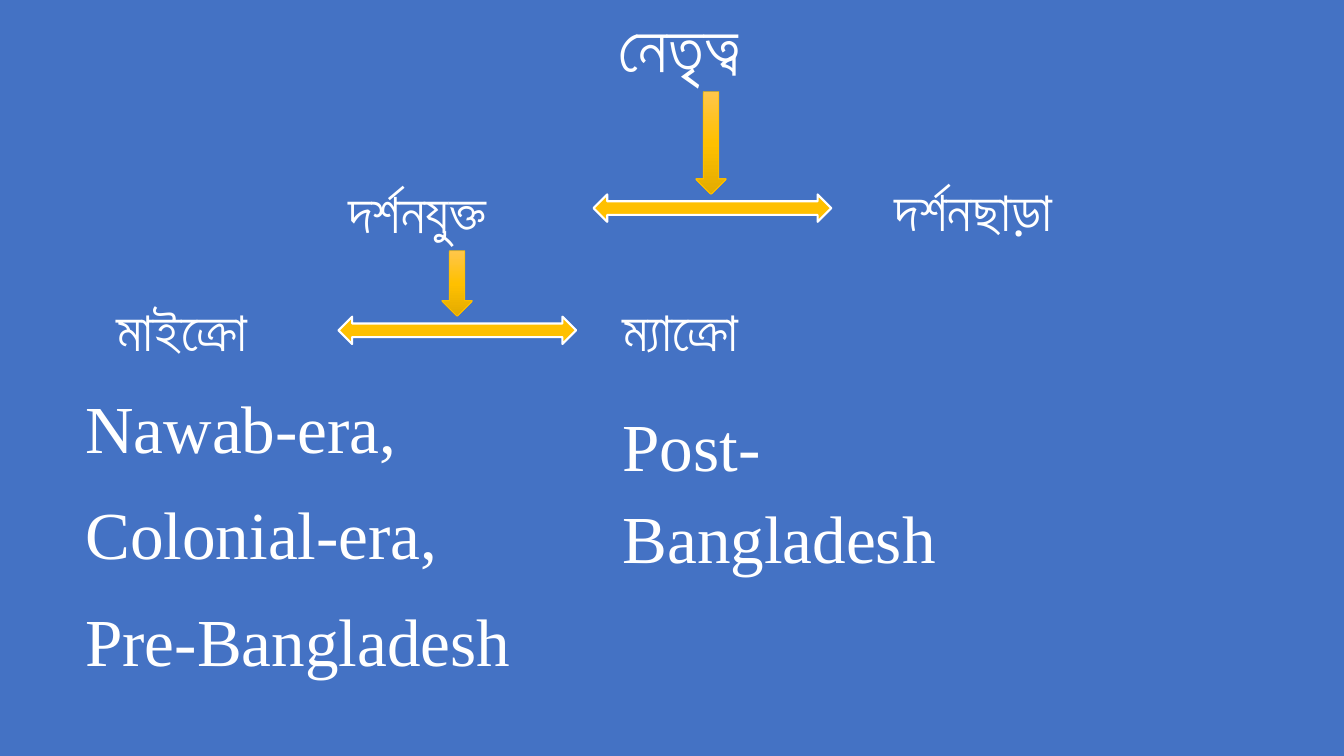
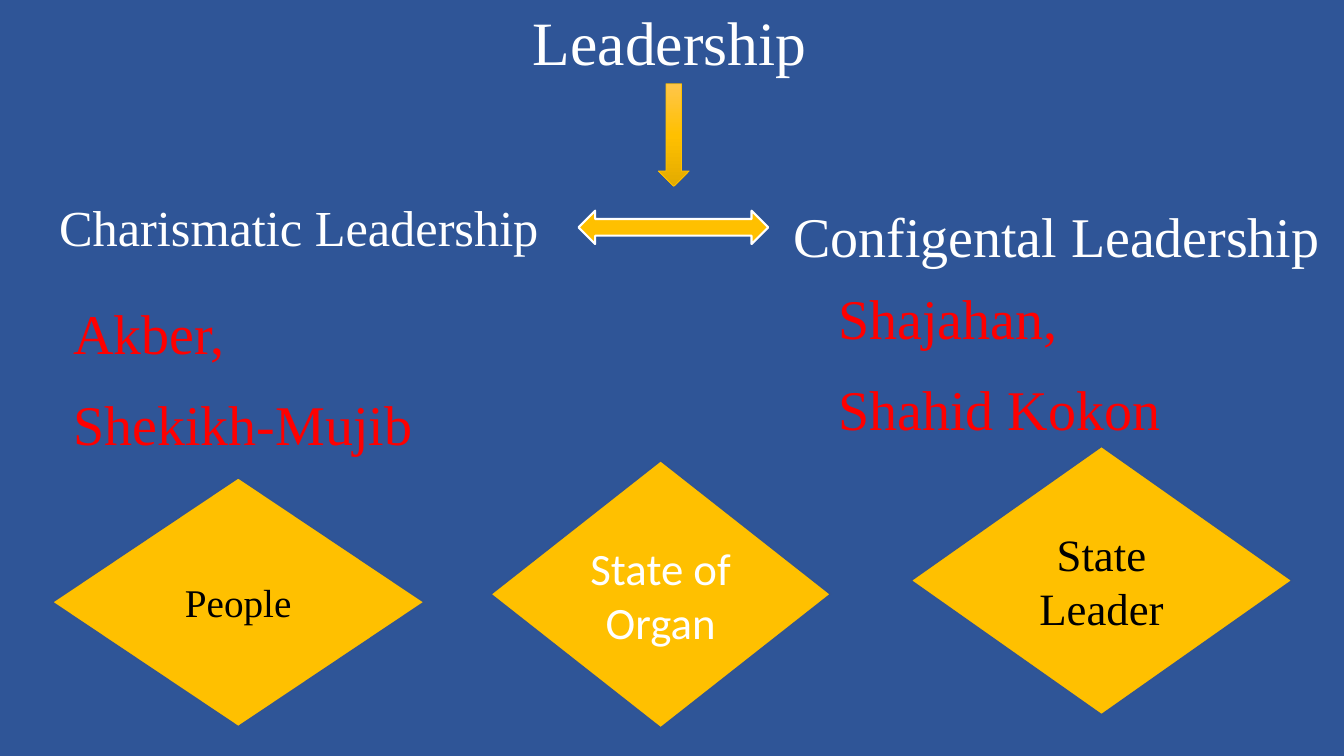
from copy import deepcopy
from dataclasses import dataclass

from pptx import Presentation
from pptx.dml.color import RGBColor
from pptx.enum.shapes import MSO_SHAPE as SHAPE
from pptx.enum.text import MSO_ANCHOR as ANCHOR, MSO_AUTO_SIZE as AUTO_SIZE, PP_ALIGN as ALIGN
from pptx.oxml.ns import qn
from pptx.util import Cm, Pt


@dataclass(frozen=True)
class Theme:
    blue: str = "4472C4"
    navy: str = "2F5597"
    white: str = "FFFFFF"
    black: str = "000000"
    red: str = "FF0000"
    gold: str = "FFC000"
    outline: str = "325491"
    gold_fade: tuple = ((0, "FFC64B"), (0.5, "FFC000"), (1, "E3AB00"))
    serif: str = "Times New Roman"
    sans: str = "Calibri"
    title_font: str = "Lato"
    xl: int = 48
    title: int = 44
    large: int = 40
    medium: int = 36
    label: int = 32
    small: int = 28


T = Theme()


def rgb(value):
    return RGBColor.from_string(value)


class Deck:
    def __init__(self):
        self.prs = Presentation()
        self.prs.slide_width, self.prs.slide_height = Cm(33.87), Cm(19.05)
        self.s = None

    def slide(self, color):
        self.s = self.prs.slides.add_slide(self.prs.slide_layouts[6])
        fill = self.s.background.fill
        fill.solid()
        fill.fore_color.rgb = rgb(color)

    def fill_text(self, tf, lines, size, font, color, **paragraph_format):
        for i, line in enumerate(lines):
            p = tf.paragraphs[0] if i == 0 else tf.add_paragraph()
            for name, value in paragraph_format.items():
                setattr(p, name, value)
            r = p.add_run()
            r.text = line
            for name, value in {"size": Pt(size), "name": font}.items():
                setattr(r.font, name, value)
            r.font.color.rgb = rgb(color)

    def text(self, box, *lines, size=T.large, font=T.serif, color=T.white, **paragraph_format):
        tf = self.s.shapes.add_textbox(*map(Cm, box)).text_frame
        tf.word_wrap = True
        tf.auto_size = AUTO_SIZE.SHAPE_TO_FIT_TEXT
        self.fill_text(tf, lines, size, font, color, **paragraph_format)

    def spaced_text(self, box, *lines, **style):
        self.text(box, *lines, line_spacing=1.15, space_after=Pt(10), **style)

    def shape(self, kind, box, line, width):
        sp = self.s.shapes.add_shape(kind, *map(Cm, box))
        sp.shadow.inherit = False
        sp.fill.solid()
        sp.fill.fore_color.rgb = rgb(T.gold)
        sp.line.color.rgb = rgb(line)
        sp.line.width = Pt(width)
        return sp

    def split_arrow(self, box):
        self.shape(SHAPE.LEFT_RIGHT_ARROW, box, T.white, 1.5)

    def down_arrow(self, left, top, height):
        sp = self.shape(SHAPE.DOWN_ARROW, (left, top, 0.78, height), T.gold, 0.5)
        sp.fill.gradient()
        sp.fill.gradient_angle = 270
        stops = sp._element.spPr.find(f".//{qn('a:gsLst')}")
        stops.append(deepcopy(stops[-1]))
        for stop, (position, color) in zip(sp.fill.gradient_stops, T.gold_fade):
            stop.position = position
            stop.color.rgb = rgb(color)

    def diamond(self, box, label, size=T.label, font=T.serif, color=T.black):
        tf = self.shape(SHAPE.DIAMOND, box, T.outline, 1).text_frame
        tf.word_wrap = True
        tf.vertical_anchor = ANCHOR.MIDDLE
        self.fill_text(tf, [label], size, font, color, alignment=ALIGN.CENTER)


def philosophy_slide(deck):
    deck.slide(T.blue)
    deck.text((15.34, 0, 5.23, 2.31), "নেতৃত্ব", size=T.xl, font=T.title_font)
    for left, top, width, label in (
        (8.53, 4.34, 5.99, "দর্শনযুক্ত"),
        (22.3, 4.29, 6.27, "দর্শনছাড়া"),
        (2.69, 7.32, 5.26, "মাইক্রো"),
        (15.44, 7.32, 6.88, "ম্যাক্রো"),
    ):
        deck.text((left, top, width, 1.96), label, font=T.sans)
    for left, top in ((14.96, 4.9), (8.53, 7.98)):
        deck.split_arrow((left, top, 5.99, 0.69))
    deck.down_arrow(17.53, 2.31, 2.59)
    deck.down_arrow(11.13, 6.32, 1.65)
    deck.spaced_text((1.9, 9.3, 11.25, 7.85),
                     "Nawab-era,", "Colonial-era,", "Pre-Bangladesh", size=T.xl)
    deck.spaced_text((15.44, 9.75, 8.97, 4.83), "Post-Bangladesh", size=T.xl)


def leadership_slide(deck):
    deck.slide(T.navy)
    deck.text((13.18, -0.03, 8.28, 2.13), "Leadership", size=T.title)
    deck.text((1.24, 4.83, 13.72, 1.8), "Charismatic Leadership", size=T.medium)
    deck.spaced_text((19.74, 4.7, 14.12, 2.06), "Configental Leadership")
    deck.down_arrow(16.59, 2.11, 2.59)
    deck.split_arrow((14.58, 5.31, 4.78, 0.84))
    for left, top, names in (
        (1.6, 7.14, ("Akber,", "Shekikh-Mujib")),
        (20.88, 6.76, ("Shajahan,", "Shahid Kokon")),
    ):
        deck.spaced_text((left, top, 10, 4.39), *names, color=T.red)
    deck.diamond((1.32, 12.04, 9.37, 6.27), "People", size=T.small)
    deck.diamond((12.37, 11.61, 8.56, 6.73), "State of Organ", font=T.sans, color=T.white)
    deck.diamond((22.96, 11.25, 9.6, 6.76), "State Leader")


def main():
    deck = Deck()
    philosophy_slide(deck)
    leadership_slide(deck)
    deck.prs.save("out.pptx")


if __name__ == "__main__":
    main()
